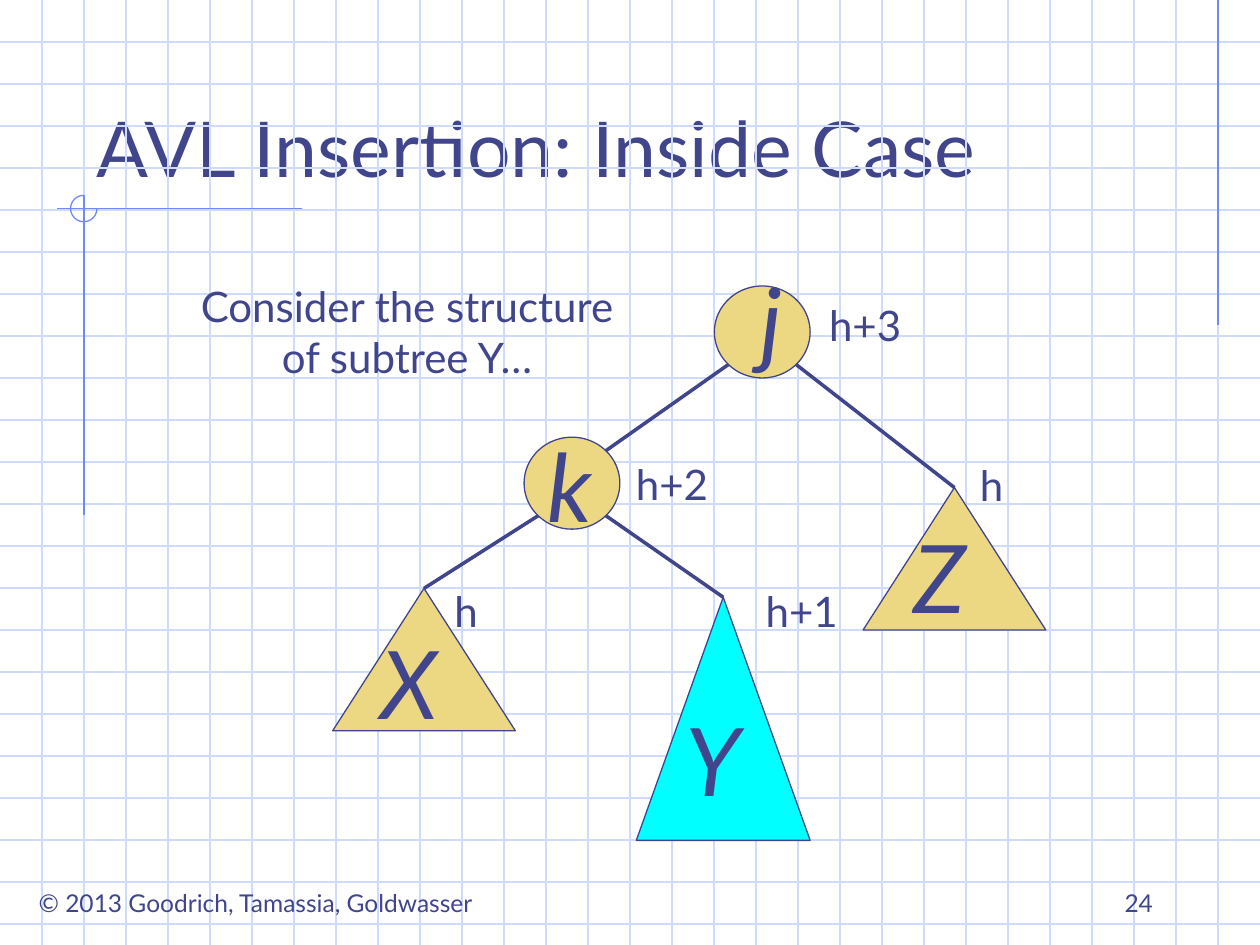
from math import sqrt
from typing import NamedTuple

from lxml.etree import SubElement
from pptx import Presentation
from pptx.dml.color import RGBColor
from pptx.enum.shapes import MSO_CONNECTOR, MSO_SHAPE
from pptx.enum.text import MSO_ANCHOR, MSO_AUTO_SIZE, PP_ALIGN
from pptx.oxml.ns import qn
from pptx.util import Inches, Pt

COLS, ROWS = 30, 22.5
HEX = {"ink": "40458C", "grid": "CFDBFD", "trim": "6F89F7",
       "sand": "ECD882", "cyan": "00FFFF"}


class Box(NamedTuple):
    """A place in grid cells, each a third of an inch."""
    x: float
    y: float
    w: float
    h: float


class Node(NamedTuple):
    name: str
    kind: MSO_SHAPE
    box: Box
    fill: str
    text_at: tuple
    rank: str
    rank_at: tuple


class Edge(NamedTuple):
    """A tree edge; side is -1 for a left child and 1 for a right one."""
    top: str
    low: str
    side: int


BALL = (2.28, 2.19)
LEAF = (4.35, 3.39)
NODES = [
    Node("j", MSO_SHAPE.OVAL, Box(17.01, 6.81, *BALL), "sand",
         (17.67, 6.09), "h+3", (19.4, 6.99)),
    Node("k", MSO_SHAPE.OVAL, Box(12.48, 10.41, *BALL), "sand",
         (12.87, 10.05), "h+2", (14.8, 10.77)),
    Node("X", MSO_SHAPE.ISOSCELES_TRIANGLE, Box(7.92, 14.01, *LEAF), "sand",
         (9.06, 14.73), "h", (9.9, 13.8)),
    Node("Y", MSO_SHAPE.ISOSCELES_TRIANGLE, Box(15.15, 14.22, 4.14, 5.79), "cyan",
         (16.29, 16.56), "h+1", (17.89, 13.8)),
    Node("Z", MSO_SHAPE.ISOSCELES_TRIANGLE, Box(20.55, 11.61, *LEAF), "sand",
         (21.69, 12.21), "h", (22.41, 10.8)),
]
EDGES = [Edge("j", "k", -1), Edge("j", "Z", 1),
         Edge("k", "X", -1), Edge("k", "Y", 1)]


def cells(*nums: float) -> list:
    return [Inches(n / 3) for n in nums]


def tint(name: str) -> RGBColor:
    return RGBColor.from_string(HEX[name])


def write(shape, text: str, *, size: float, align=PP_ALIGN.CENTER,
          anchor=MSO_ANCHOR.TOP, wrap: bool = False, italic: bool = False) -> None:
    frame = shape.text_frame
    frame.text = text
    frame.word_wrap = wrap
    frame.auto_size = MSO_AUTO_SIZE.NONE
    frame.vertical_anchor = anchor
    for para in frame.paragraphs:
        para.alignment = align
        font = para.font
        font.name, font.size, font.italic = "Lato", Pt(size), italic
        font.color.rgb = tint("ink")


def label(slide, box: Box, text: str, **form) -> None:
    write(slide.shapes.add_textbox(*cells(*box)), text, **form)


def rule(slide, start: tuple, end: tuple, color: str, width: float = 0.75):
    line = slide.shapes.add_connector(
        MSO_CONNECTOR.STRAIGHT, *cells(*start, *end))
    line.line.color.rgb = tint(color)
    line.line.width = Pt(width)
    SubElement(line._element.spPr, qn("a:effectLst"))
    return line


def form(slide, kind: MSO_SHAPE, box: Box, line: str, fill: str = ""):
    shape = slide.shapes.add_shape(kind, *cells(*box))
    shape.shadow.inherit = False
    shape.line.color.rgb = tint(line)
    shape.line.width = Pt(0.75)
    if fill:
        shape.fill.solid()
        shape.fill.fore_color.rgb = tint(fill)
    else:
        shape.fill.background()
    return shape


def rim(box: Box, dx: int, dy: int) -> tuple:
    """Point on an ellipse at one of its four diagonals."""
    half = sqrt(0.5) / 2
    return (box.x + box.w * (0.5 + dx * half),
            box.y + box.h * (0.5 + dy * half))


def back(slide) -> None:
    """Grid paper and the trim lines by the title."""
    for row in range(1, int(ROWS) + 1):
        rule(slide, (0, row), (COLS, row), "grid")
    for col in range(1, COLS):
        rule(slide, (col, 0), (col, ROWS), "grid")
    rule(slide, (29, 0), (29, 7.74), "trim")
    rule(slide, (7.2, 4.97), (1.35, 4.97), "trim")
    rule(slide, (2, 4.65), (2, 12.27), "trim")
    arc = form(slide, MSO_SHAPE.ARC, Box(1.68, 4.65, 0.63, 0.63), "trim")
    arc.adjustments[0] = 0
    arc.adjustments[1] = 162  # 270 degrees, in units of 100000/60000


def tree(slide) -> None:
    boxes = {node.name: node.box for node in NODES}
    shapes = {}
    for node in NODES:
        shapes[node.name] = form(slide, node.kind, node.box, "ink", node.fill)
        label(slide, Box(*node.text_at, 1.38, 3), node.name, size=54, italic=True)
        label(slide, Box(*node.rank_at, 2.4, 1.5), node.rank, size=24)
    for edge in EDGES:
        low = boxes[edge.low]
        start = rim(boxes[edge.top], edge.side, 1)
        if edge.low == "k":
            rule(slide, start, rim(low, -edge.side, -1), "ink", 2)
        else:
            line = rule(slide, start, (low.x + low.w / 2, low.y), "ink", 2)
            line.end_connect(shapes[edge.low], 0)


def main() -> None:
    deck = Presentation()
    deck.slide_width, deck.slide_height = cells(COLS, ROWS)
    slide = deck.slides.add_slide(deck.slide_layouts[5])
    back(slide)
    title = slide.shapes.title
    title.left, title.top, title.width, title.height = cells(2, 1, 25.5, 3.75)
    write(title, "AVL Insertion: Inside Case", size=44, wrap=True,
          align=PP_ALIGN.LEFT, anchor=MSO_ANCHOR.BOTTOM)
    label(slide, Box(0.27, 21, 11.64, 1.02),
          "© 2013 Goodrich, Tamassia, Goldwasser", size=14)
    label(slide, Box(21.5, 20.5, 6.25, 1.5), "24", size=14, wrap=True,
          align=PP_ALIGN.RIGHT, anchor=MSO_ANCHOR.BOTTOM)
    label(slide, Box(4.11, 6.54, 11.16, 2.7),
          "Consider the structure\nof subtree Y…", size=24)
    tree(slide)
    deck.save("out.pptx")


if __name__ == "__main__":
    main()
